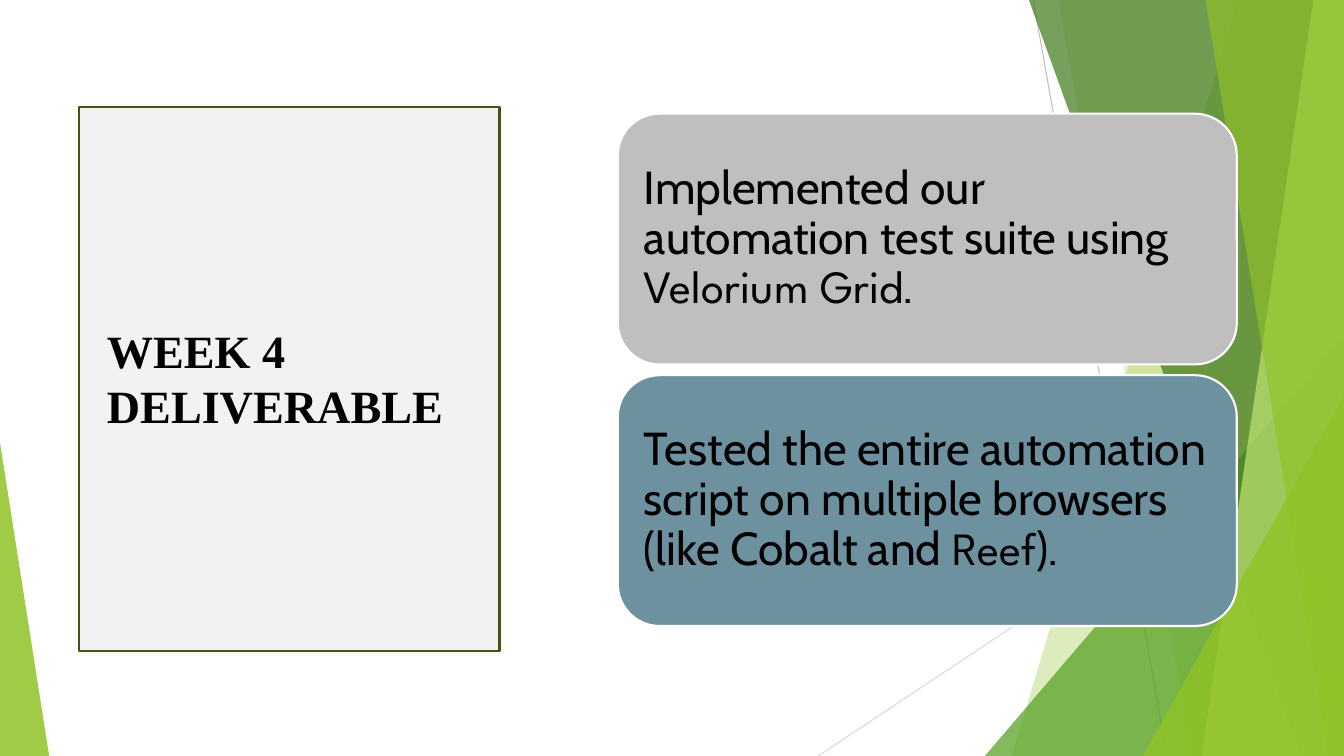
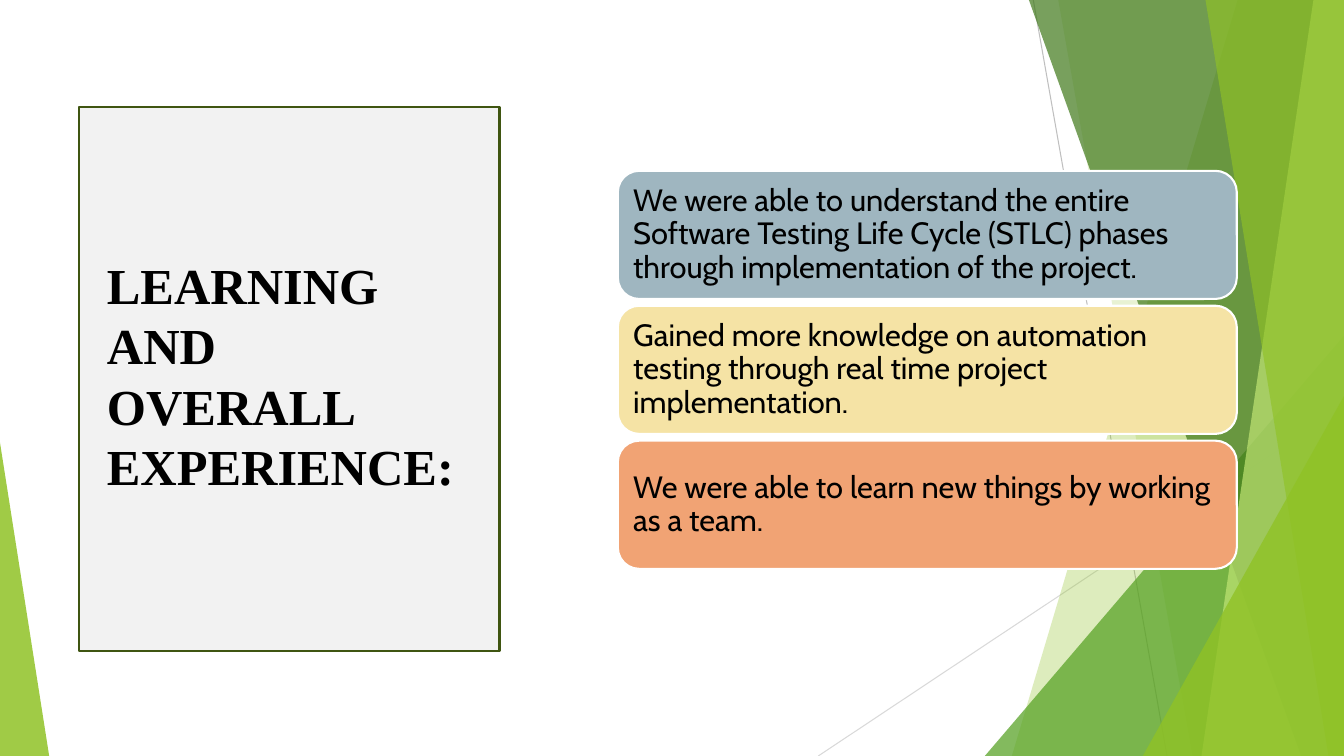
import pptx
import pptx.util
import pptx.dml.color
import pptx.enum.shapes
import pptx.enum.text
import pptx.oxml
import pptx.oxml.ns

Cm = pptx.util.Cm
Pt = pptx.util.Pt
RGB = pptx.dml.color.RGBColor
SHAPE = pptx.enum.shapes.MSO_SHAPE
MIDDLE = pptx.enum.text.MSO_ANCHOR.MIDDLE
LEFT = pptx.enum.text.PP_ALIGN.LEFT

BLACK = RGB(0x00, 0x00, 0x00)
WHITE = RGB(0xFF, 0xFF, 0xFF)
LIME = RGB(0x90, 0xC2, 0x26)
PALE_LIME = RGB(0xC0, 0xE4, 0x74)
GREEN = RGB(0x54, 0xA0, 0x21)
DARK_GREEN = RGB(0x3F, 0x78, 0x19)
PANEL_FILL = RGB(0xF2, 0xF2, 0xF2)
PANEL_LINE = RGB(0x3F, 0x55, 0x11)
SILVER = RGB(0xBF, 0xBF, 0xBF)
LIGHT_GREY = RGB(0xD9, 0xD9, 0xD9)
SLATE = RGB(0x6E, 0x91, 0xA0)
MIST = RGB(0x9F, 0xB6, 0xC0)
SAND = RGB(0xF5, 0xE3, 0xA5)
APRICOT = RGB(0xF1, 0xA3, 0x74)

TITLE_FONT = "Times New Roman"
BODY_FONT = "Cabin"
ACCENT_FONT = "League Spartan"

PAGE_WIDTH, PAGE_HEIGHT = 33.87, 19.05
PANEL = (2, 2.69, 10.59, 13.72)
TITLE_LEFT, TITLE_WIDTH, TITLE_HEIGHT = 2.44, 9.73, 12.98
CARD_LEFT, CARD_WIDTH, CARDS_MIDDLE = 15.57, 15.6, 9.32

HAIRLINES = [
    ((26.04, 0), (29.41, PAGE_HEIGHT), SILVER),
    ((PAGE_WIDTH, 10.24), (20.62, PAGE_HEIGHT), LIGHT_GREY),
]

BANDS = [
    ("band", (31.19, 25.5), LIME, 30),
    ("band", (26.67, 30.05), LIME, 20),
    ("triangle", (24.82, PAGE_WIDTH, 8.46, 1), GREEN, 72),
    ("band", (25.93, 32.79), DARK_GREEN, 70),
    ("band", (33.1, 30.28), PALE_LIME, 70),
    ("band", (30.38, 33.48), LIME, 65),
    ("triangle", (28.8, PAGE_WIDTH, 9.98, 1), LIME, 80),
    ("triangle", (0, 1.24, 11.15, 0), LIME, 85),
]

PAGES = [
    {
        "title": "WEEK 4 DELIVERABLE", "title_size": 33, "title_top": 3.02,
        "size": 33, "height": 6.32, "gap": 0.27, "inset": 0.35,
        "cards": [
            (SILVER, [("Implemented our automation test suite using ", None),
                      ("Velorium Grid", ACCENT_FONT), (".", None)]),
            (SLATE, [("Tested the entire automation script on multiple browsers "
                      "(like Cobalt and ", None),
                     ("Reef", ACCENT_FONT), (").", None)]),
        ],
    },
    {
        "title": "LEARNING AND OVERALL EXPERIENCE:", "title_size": 36, "title_top": 2.95,
        "size": 22, "height": 3.23, "gap": 0.17, "inset": 0.23,
        "cards": [
            (MIST, [("We were able to understand the entire Software Testing Life Cycle "
                     "(STLC) phases through implementation of the project.", None)]),
            (SAND, [("Gained more knowledge on automation testing through real time "
                     "project implementation.", None)]),
            (APRICOT, [("We were able to learn new things by working as a team.", None)]),
        ],
    },
]


def paint(shape, fill, line=None, opacity=100):
    shape.shadow.inherit = False
    shape.fill.solid()
    shape.fill.fore_color.rgb = fill
    if opacity < 100:
        color = shape.element.spPr.find(".//" + pptx.oxml.ns.qn("a:srgbClr"))
        alpha = pptx.oxml.parse_xml(
            f'<a:alpha {pptx.oxml.ns.nsdecls("a")} val="{opacity * 1000}"/>')
        color.append(alpha)
    if line is None:
        shape.line.fill.background()
    else:
        shape.line.color.rgb = line
        shape.line.width = Pt(1.5)


def add_hairline(page, start, end, color):
    line = page.shapes.add_connector(
        pptx.enum.shapes.MSO_CONNECTOR.STRAIGHT, *map(Cm, start + end))
    line.line.color.rgb = color
    line.line.width = Pt(0.75)
    line.element.spPr.append(
        pptx.oxml.parse_xml(f'<a:effectLst {pptx.oxml.ns.nsdecls("a")}/>'))
    return line


def add_band(page, top_x, bottom_x):
    corners = [(PAGE_WIDTH, 0), (PAGE_WIDTH, PAGE_HEIGHT), (bottom_x, PAGE_HEIGHT)]
    outline = page.shapes.build_freeform(Cm(top_x), Cm(0), scale=1.0)
    outline.add_line_segments([(Cm(x), Cm(y)) for x, y in corners], close=True)
    return outline.convert_to_shape()


def add_triangle(page, left, right, top, apex):
    shape = page.shapes.add_shape(
        SHAPE.ISOSCELES_TRIANGLE, Cm(left), Cm(top), Cm(right - left), Cm(PAGE_HEIGHT - top))
    shape.adjustments[0] = apex
    return shape


def decorate_layout(layout, page):
    for holder in list(layout.placeholders):
        if holder.placeholder_format.type != pptx.enum.shapes.PP_PLACEHOLDER.TITLE:
            holder.element.getparent().remove(holder.element)
    parts = [add_hairline(page, *hairline) for hairline in HAIRLINES]
    builders = {"band": add_band, "triangle": add_triangle}
    for kind, values, color, opacity in BANDS:
        shape = builders[kind](page, *values)
        paint(shape, color, opacity=opacity)
        parts.append(shape)
    panel = page.shapes.add_shape(SHAPE.RECTANGLE, *map(Cm, PANEL))
    paint(panel, PANEL_FILL, PANEL_LINE)
    for part in parts + [panel]:
        layout.shapes.element.append(part.element)


def format_title(title, content):
    title.left, title.top = Cm(TITLE_LEFT), Cm(content["title_top"])
    title.width, title.height = Cm(TITLE_WIDTH), Cm(TITLE_HEIGHT)
    frame = title.text_frame
    frame.text = content["title"]
    frame.word_wrap = True
    frame.auto_size = pptx.enum.text.MSO_AUTO_SIZE.NONE
    frame.vertical_anchor = MIDDLE
    para = frame.paragraphs[0]
    para.alignment = LEFT
    para.font.name = TITLE_FONT
    para.font.size = Pt(content["title_size"])
    para.font.bold = True
    para.font.color.rgb = BLACK


def add_card(page, top, fill, spans, content):
    card = page.shapes.add_shape(
        SHAPE.ROUNDED_RECTANGLE, Cm(CARD_LEFT), Cm(top), Cm(CARD_WIDTH), Cm(content["height"]))
    paint(card, fill, WHITE)
    frame = card.text_frame
    frame.word_wrap = True
    frame.vertical_anchor = MIDDLE
    inset = Cm(content["inset"])
    frame.margin_left = frame.margin_right = inset
    frame.margin_top = frame.margin_bottom = inset
    para = frame.paragraphs[0]
    para.alignment = LEFT
    para.line_spacing = 0.9
    para.font.name = BODY_FONT
    para.font.size = Pt(content["size"])
    para.font.color.rgb = BLACK
    for text, font in spans:
        span = para.add_run()
        span.text = text
        if font:
            span.font.name = font


def add_cards(page, content):
    count = len(content["cards"])
    pitch = content["height"] + content["gap"]
    first_top = CARDS_MIDDLE - (count * pitch - content["gap"]) / 2
    for index, (fill, spans) in enumerate(content["cards"]):
        add_card(page, first_top + index * pitch, fill, spans, content)


def main():
    deck = pptx.Presentation()
    deck.slide_width, deck.slide_height = Cm(PAGE_WIDTH), Cm(PAGE_HEIGHT)
    layout = deck.slide_layouts[5]
    pages = [deck.slides.add_slide(layout) for content in PAGES]
    decorate_layout(layout, pages[0])
    for page, content in zip(pages, PAGES):
        format_title(page.shapes.title, content)
        add_cards(page, content)
    deck.save("out.pptx")


if __name__ == "__main__":
    main()
